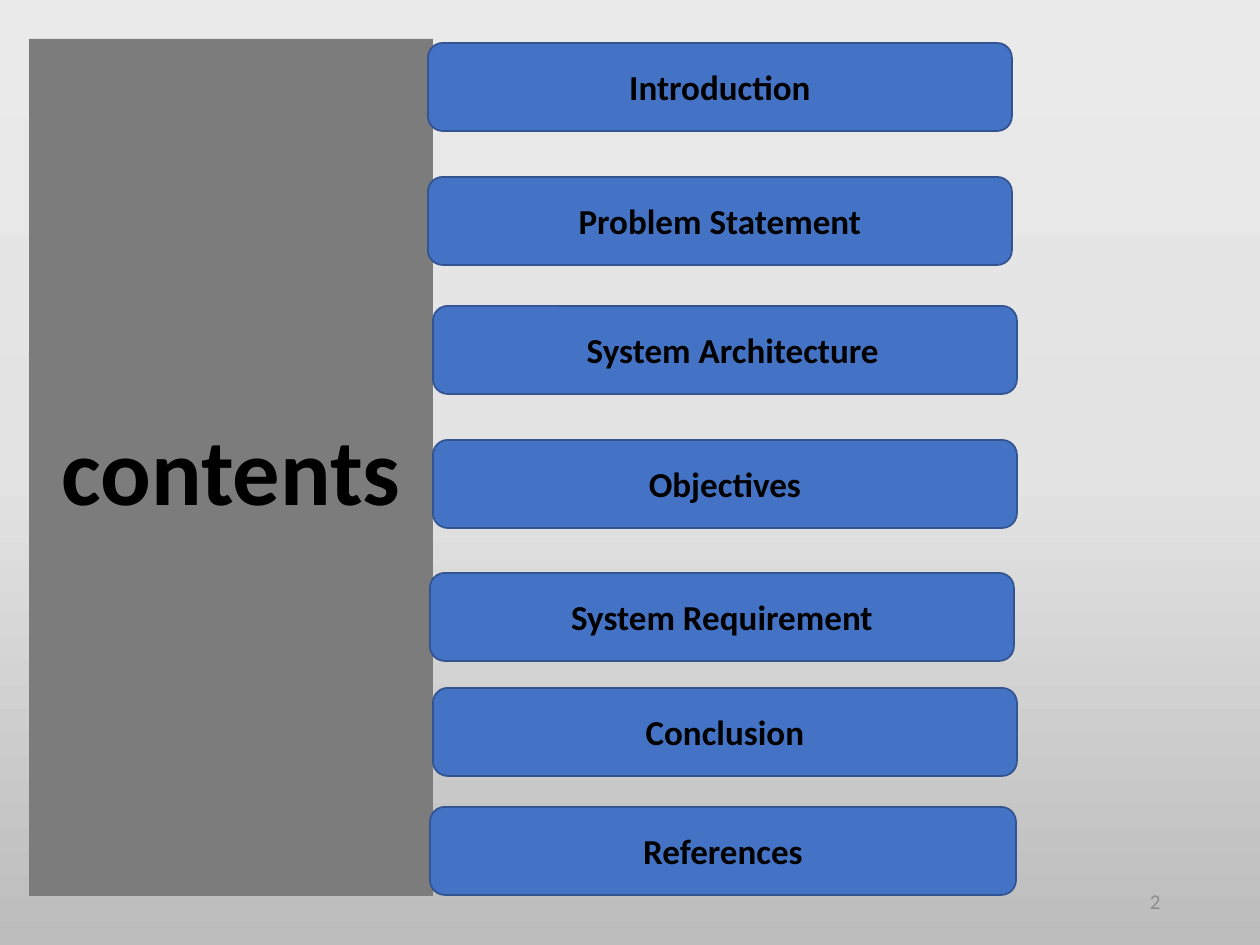
from copy import deepcopy

from pptx import Presentation
from pptx.dml.color import RGBColor
from pptx.enum.shapes import MSO_SHAPE
from pptx.enum.text import MSO_ANCHOR, MSO_AUTO_SIZE, PP_ALIGN
from pptx.oxml.ns import qn
from pptx.util import Pt

SCALE = 914400 // 126
ROUND = MSO_SHAPE.ROUNDED_RECTANGLE
MIDDLE = MSO_ANCHOR.MIDDLE
FIXED = MSO_AUTO_SIZE.NONE
CENTER, RIGHT = PP_ALIGN.CENTER, PP_ALIGN.RIGHT

TOPICS = [
    ("Introduction", 0, 4, 584),
    ("Problem Statement", 0, 138, 584),
    ("System Architecture", 5, 267, 584),
    ("Objectives", 5, 401, 584),
    ("System Requirement", 2, 534, 584),
    ("Conclusion", 5, 649, 584),
    ("References", 2, 768, 586),
]


def px(n):
    """Turn px into EMU."""
    return n * SCALE


def color(code):
    """Turn a hex string into a colour."""
    return RGBColor.from_string(code)


def place(shape, box):
    """Move and size a shape to a px box."""
    for name, value in zip(("left", "top", "width", "height"), box):
        setattr(shape, name, px(value))


def write(shape, text, size, ink="000000", bold=True, align=CENTER):
    """Write one formatted line into a shape."""
    frame = shape.text_frame
    frame.text = text
    style = {"word_wrap": True, "auto_size": FIXED, "vertical_anchor": MIDDLE}
    for name, value in style.items():
        setattr(frame, name, value)
    line = frame.paragraphs[0]
    line.alignment = align
    font = line.runs[0].font
    for name, value in {"name": "Calibri", "size": Pt(size), "bold": bold}.items():
        setattr(font, name, value)
    font.color.rgb = color(ink)


def paint(shape, code):
    """Fill a shape with one colour."""
    shape.fill.solid()
    shape.fill.fore_color.rgb = color(code)


def shade(slide):
    """Give the slide its grey gradient from top to bottom."""
    fill = slide.background.fill
    fill.gradient()
    fill.gradient_angle = 270
    stops = slide.element.find(".//" + qn("a:gsLst"))
    stops.append(deepcopy(stops[-1]))
    tones = (0, "EBEAEA"), (0.5, "E4E3E3"), (1, "BDBCBC")
    for stop, (spot, code) in zip(fill.gradient_stops, tones):
        stop.position = spot
        stop.color.rgb = color(code)


def heading(slide, box):
    """Turn the title into the side panel."""
    title = slide.shapes.title
    place(title, box)
    paint(title, "7C7C7C")
    write(title, "contents", 54)


def topics(slide, box):
    """Stack the topic bars inside the box."""
    left, top, _, _ = box
    for text, dx, dy, width in TOPICS:
        spot = left + dx, top + dy, width, 88
        bar = slide.shapes.add_shape(ROUND, *map(px, spot))
        bar.shadow.inherit = False
        paint(bar, "4472C4")
        bar.line.color.rgb = color("325491")
        bar.line.width = Pt(1)
        write(bar, text, 20)
        if text == "System Architecture":
            bar.text_frame.margin_left = px(28)


def number(slide, box):
    """Write the slide number."""
    note = slide.shapes.add_textbox(*map(px, box))
    write(note, "2", 12, "8C8C8C", False, RIGHT)


def main():
    """Build and save the slide."""
    deck = Presentation()
    deck.slide_width, deck.slide_height = px(1260), px(945)
    slide = deck.slides.add_slide(deck.slide_layouts.get_by_name("Title Only"))
    shade(slide)
    heading(slide, (29, 39, 404, 857))
    topics(slide, (428, 39, 589, 857))
    number(slide, (890, 876, 283, 50))
    deck.save("out.pptx")


if __name__ == "__main__":
    main()
